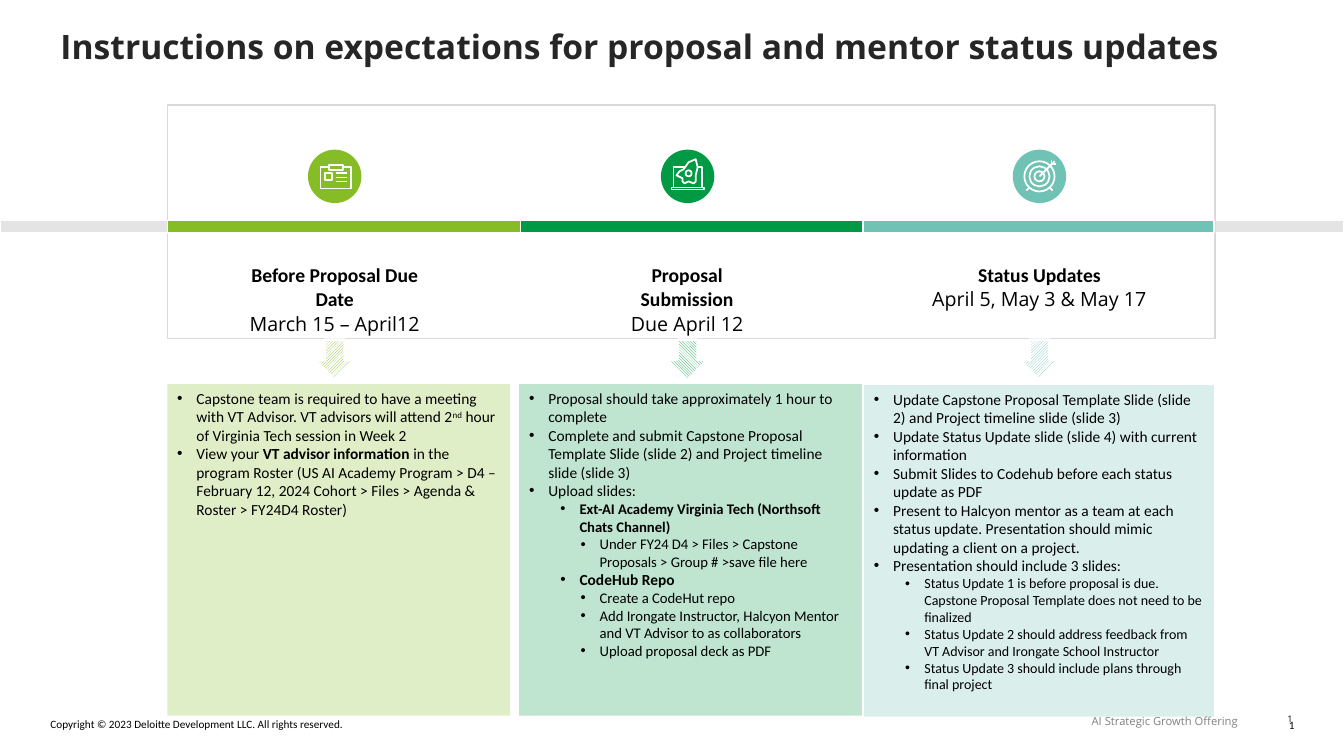
from pptx import Presentation
from pptx.dml.color import RGBColor
from pptx.enum.dml import MSO_PATTERN
from pptx.enum.shapes import MSO_CONNECTOR, MSO_SHAPE
from pptx.enum.text import MSO_ANCHOR, MSO_AUTO_SIZE, PP_ALIGN
from pptx.oxml.ns import qn
from pptx.util import Inches, Pt
from lxml.etree import SubElement

HUES = {"lime": "86BC25", "green": "009A44", "teal": "6FC2B4", "rail": "E4E4E4",
        "frame": "D9D9D9", "white": "FFFFFF", "black": "000000",
        "title": "262626", "gray": "808080"}
TITLE = "Instructions on expectations for proposal and mentor status updates"

# left, top, width, text, size, font, hue, alignment
NOTES = [
    (0.5, 7.12, 5.86, "Copyright © 2023 Deloitte Development LLC. All rights reserved.",
     8, "Calibri", "black", PP_ALIGN.LEFT),
    (12.5, 7.13, 0.34, "1", 8, "Calibri", "black", PP_ALIGN.RIGHT),
    (6.93, 7.09, 5.35, "AI Strategic Growth Offering", 8, "Open Sans", "gray", PP_ALIGN.RIGHT),
    (12.48, 7.08, 0.34, "1", 6.5, "Open Sans", "black", PP_ALIGN.RIGHT),
]

# Icon parts are offsets from the badge centre: left, top, width, height or x1, y1, x2, y2
BADGE = {
    "box": [(-0.14, -0.09, 0.3, 0.21), (-0.06, -0.11, 0.14, 0.05), (-0.1, -0.03, 0.07, 0.07)],
    "line": [(0.01, y, 0.12, y) for y in (-0.03, 0.01, 0.05)],
}
LAPTOP = {
    "box": [(-0.14, -0.09, 0.28, 0.2), (-0.16, 0.11, 0.32, 0.02)],
    "path": [(0.08, -0.17), (0.1, -0.09), (0.08, -0.01), (0.08, 0.05), (0.06, 0.07),
             (0.01, 0.05), (-0.03, 0.07), (-0.05, 0.05), (-0.05, 0.02), (-0.11, -0.01),
             (-0.08, -0.05), (-0.04, -0.07), (0.01, -0.14)],
    "ring": [(-0.02, -0.06, 0.06, 0.06)],
}
TARGET = {
    "ring": [(-r, -r, 2 * r, 2 * r) for r in (0.15, 0.1, 0.05)],
    "line": [(0, 0, 0.15, -0.15), (0.12, -0.12, 0.12, -0.16), (0.12, -0.12, 0.16, -0.12),
             (-0.1, 0.11, -0.13, 0.14), (0.1, 0.11, 0.13, 0.14)],
}

# Each point is level, size, then its runs; "b" is bold and "sup" is raised
STAGES = [
    {"hue": "lime", "mid": 3.32, "bar": (1.66, 3.51), "head": (2.31, 2.02),
     "panel": (1.66, 3.81, 3.4), "stripe": MSO_PATTERN.DARK_UPWARD_DIAGONAL, "icon": BADGE,
     "name": "Before Proposal Due Date", "date": "March 15 – April12",
     "points": [
         (0, 11, [("Capstone team is required to have a meeting with VT Advisor. "
                   "VT advisors will attend 2", ""), ("nd", "sup"),
                  (" hour of Virginia Tech session in Week 2", "")]),
         (0, 11, [("View your ", ""), ("VT advisor information ", "b"),
                  ("in the program Roster (US AI Academy Program > D4 – February 12, 2024 "
                   "Cohort > Files > Agenda & Roster > FY24D4 Roster)", "")])]},
    {"hue": "green", "mid": 6.82, "bar": (5.16, 3.4), "head": (5.99, 1.65),
     "panel": (5.15, 3.81, 3.4), "stripe": MSO_PATTERN.DARK_DOWNWARD_DIAGONAL, "icon": LAPTOP,
     "name": "Proposal Submission", "date": "Due April 12",
     "points": [
         (0, 11, [("Proposal should take approximately 1 hour to complete", "")]),
         (0, 11, [("Complete and submit Capstone Proposal Template Slide (slide 2) and "
                   "Project timeline slide (slide 3)", "")]),
         (0, 11, [("Upload slides:", "")]),
         (1, 10.5, [("Ext-AI Academy Virginia Tech (Northsoft Chats Channel)", "b")]),
         (2, 10.5, [("Under FY24 D4 > Files > Capstone Proposals > Group # >save file here", "")]),
         (1, 11, [("CodeHub Repo", "b")]),
         (2, 10.5, [("Create a CodeHut repo", "")]),
         (2, 10.5, [("Add Irongate Instructor, Halcyon Mentor and VT Advisor to as "
                     "collaborators", "")]),
         (2, 10.5, [("Upload proposal deck as PDF", "")])]},
    {"hue": "teal", "mid": 10.31, "bar": (8.56, 3.48), "head": (9.21, 2.2),
     "panel": (8.57, 3.82, 3.47), "stripe": MSO_PATTERN.DARK_UPWARD_DIAGONAL, "icon": TARGET,
     "name": "Status Updates", "date": "April 5, May 3 & May 17",
     "points": [
         (0, 11, [("Update Capstone Proposal Template Slide (slide 2) and Project timeline "
                   "slide (slide 3)", "")]),
         (0, 11, [("Update Status Update slide (slide 4) with current information", "")]),
         (0, 11, [("Submit Slides to Codehub before each status update as PDF", "")]),
         (0, 11, [("Present to Halcyon mentor as a team at each status update. Presentation "
                   "should mimic updating a client on a project.", "")]),
         (0, 11, [("Presentation should include 3 slides:", "")]),
         (1, 10, [("Status Update 1 is before proposal is due. Capstone Proposal Template "
                   "does not need to be finalized", "")]),
         (1, 10, [("Status Update 2 should address feedback from VT Advisor and Irongate "
                   "School Instructor", "")]),
         (1, 10, [("Status Update 3 should include plans through final project", "")])]},
]
INDENT = (0.19, 0.5, 0.7)
HANG = 0.19
BAR_TOP, BAR_TALL = 2.19, 0.12
ICON_MID, ICON_WIDE = 1.75, 0.53


def hue(name):
    return RGBColor.from_string(HUES[name])


def style(run, size, font, tint, bold=False):
    run.font.size, run.font.name, run.font.bold = Pt(size), font, bold
    run.font.color.rgb = hue(tint)


def shape(page, kind, box, fill=None, line=None, width=1):
    item = page.add_shape(kind, *map(Inches, box))
    paint(item, fill, line, width)
    return item


def paint(item, fill, line, width):
    item.shadow.inherit = False
    if fill:
        item.fill.solid()
        item.fill.fore_color.rgb = hue(fill)
    else:
        item.fill.background()
    if line:
        item.line.color.rgb, item.line.width = hue(line), Pt(width)
    else:
        item.line.fill.background()


def label(page, box, rows, align, space=None):
    """Add a text box without margins; rows hold text, size, font, hue and bold."""
    frame = page.add_textbox(*map(Inches, box)).text_frame
    frame.word_wrap = True
    frame.margin_left = frame.margin_right = frame.margin_top = frame.margin_bottom = 0
    frame.text = "\n".join(row[0] for row in rows)
    for para, row in zip(frame.paragraphs, rows):
        para.alignment, para.line_spacing = align, space
        style(para.runs[0], *row[1:])


def draw_icon(page, stage):
    group = page.add_group_shape().shapes
    tint, mid, icon = stage["hue"], stage["mid"], stage["icon"]
    half = ICON_WIDE / 2
    shape(group, MSO_SHAPE.OVAL, (mid - half, ICON_MID - half, ICON_WIDE, ICON_WIDE), tint)
    for x, y, w, h in icon.get("box", []):
        shape(group, MSO_SHAPE.RECTANGLE, (mid + x, ICON_MID + y, w, h), tint, "white", 1.25)
    if "path" in icon:
        spots = [(Inches(mid + x), Inches(ICON_MID + y)) for x, y in icon["path"]]
        pen = group.build_freeform(*spots[0])
        pen.add_line_segments(spots[1:], close=True)
        paint(pen.convert_to_shape(), tint, "white", 1.25)
    for x, y, w, h in icon.get("ring", []):
        shape(group, MSO_SHAPE.OVAL, (mid + x, ICON_MID + y, w, h), tint, "white", 1.25)
    for x1, y1, x2, y2 in icon.get("line", []):
        ends = (mid + x1, ICON_MID + y1, mid + x2, ICON_MID + y2)
        line = group.add_connector(MSO_CONNECTOR.STRAIGHT, *map(Inches, ends))
        line.line.color.rgb, line.line.width = hue("white"), Pt(1.25)
        SubElement(line._element.spPr, qn("a:effectLst"))


def draw_panel(page, stage):
    left, top, wide = stage["panel"]
    panel = shape(page, MSO_SHAPE.RECTANGLE, (left, top, wide, 3.29), stage["hue"])
    tone = panel._element.spPr.find(".//" + qn("a:srgbClr"))
    SubElement(tone, qn("a:alpha")).set("val", "25000")
    frame = panel.text_frame
    frame.word_wrap, frame.vertical_anchor = True, MSO_ANCHOR.TOP
    for i, (level, size, runs) in enumerate(stage["points"]):
        para = frame.add_paragraph() if i else frame.paragraphs[0]
        para.level, para.alignment = level, PP_ALIGN.LEFT
        props = para._p.get_or_add_pPr()
        props.set("marL", str(Inches(INDENT[level])))
        props.set("indent", str(-Inches(HANG)))
        SubElement(props, qn("a:buFont")).set("typeface", "Arial")
        SubElement(props, qn("a:buChar")).set("char", "•")
        for text, mark in runs:
            run = para.add_run()
            run.text = text
            style(run, size, "Calibri", "black", mark == "b")
            if mark == "sup":
                run._r.get_or_add_rPr().set("baseline", "30000")


def draw_stage(page, stage):
    left, wide = stage["bar"]
    shape(page, MSO_SHAPE.RECTANGLE, (left, BAR_TOP, wide, BAR_TALL), stage["hue"], "white")
    draw_icon(page, stage)
    left, wide = stage["head"]
    label(page, (left, 2.59, wide, 0.74),
          [(stage["name"], 14, "Calibri", "black", True),
           (stage["date"], 14, "Open Sans", "black")], PP_ALIGN.CENTER, 1.06)
    draw_panel(page, stage)
    arrow = shape(page, MSO_SHAPE.DOWN_ARROW, (stage["mid"] - 0.2, 3.37, 0.4, 0.4),
                  None, "white", 2)
    arrow.fill.patterned()
    arrow.fill.pattern = stage["stripe"]
    arrow.fill.fore_color.rgb, arrow.fill.back_color.rgb = hue(stage["hue"]), hue("white")


def main():
    deck = Presentation()
    deck.slide_width, deck.slide_height = Inches(13.33), Inches(7.5)
    slide = deck.slides.add_slide(deck.slide_layouts[5])
    page, title = slide.shapes, slide.shapes.title
    title.left, title.top, title.width, title.height = map(Inches, (0.6, 0.26, 12.46, 0.4))
    frame = title.text_frame
    frame.text = TITLE
    frame.auto_size, frame.vertical_anchor = MSO_AUTO_SIZE.NONE, MSO_ANCHOR.MIDDLE
    frame.margin_left = frame.margin_right = frame.margin_top = frame.margin_bottom = 0
    frame.paragraphs[0].alignment = PP_ALIGN.LEFT
    style(frame.paragraphs[0].runs[0], 24, "Open Sans", "title", True)

    for left, top, wide, text, size, font, tint, align in NOTES:
        label(page, (left, top, wide, 0.13), [(text, size, font, tint)], align)
    for left, wide in ((0, 1.77), (11.65, 1.68)):
        shape(page, MSO_SHAPE.RECTANGLE, (left, BAR_TOP, wide, BAR_TALL), "rail", "white")
    shape(page, MSO_SHAPE.RECTANGLE, (1.66, 1.04, 10.39, 2.32), None, "frame")
    for stage in STAGES:
        draw_stage(page, stage)
    deck.save("out.pptx")


if __name__ == "__main__":
    main()
